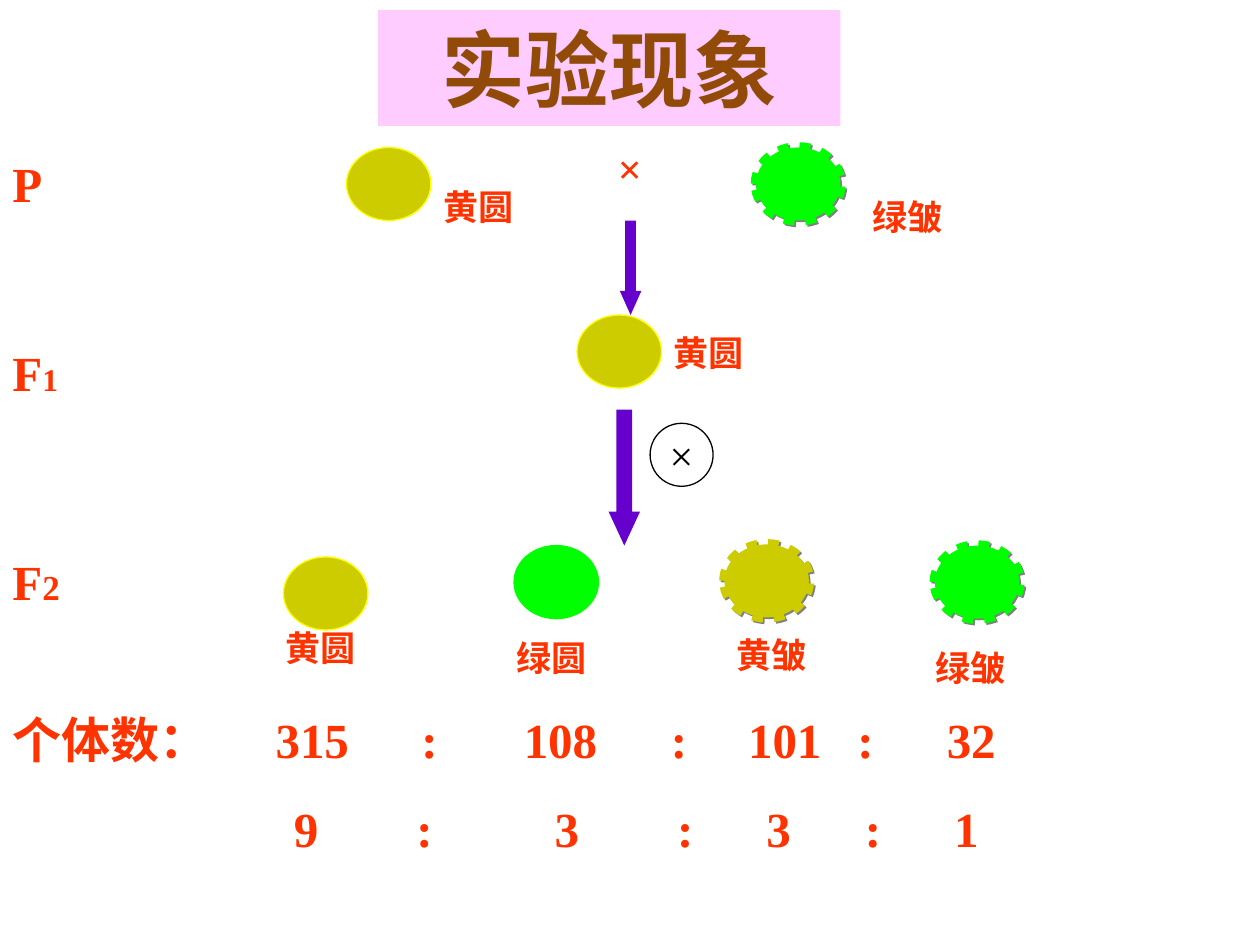
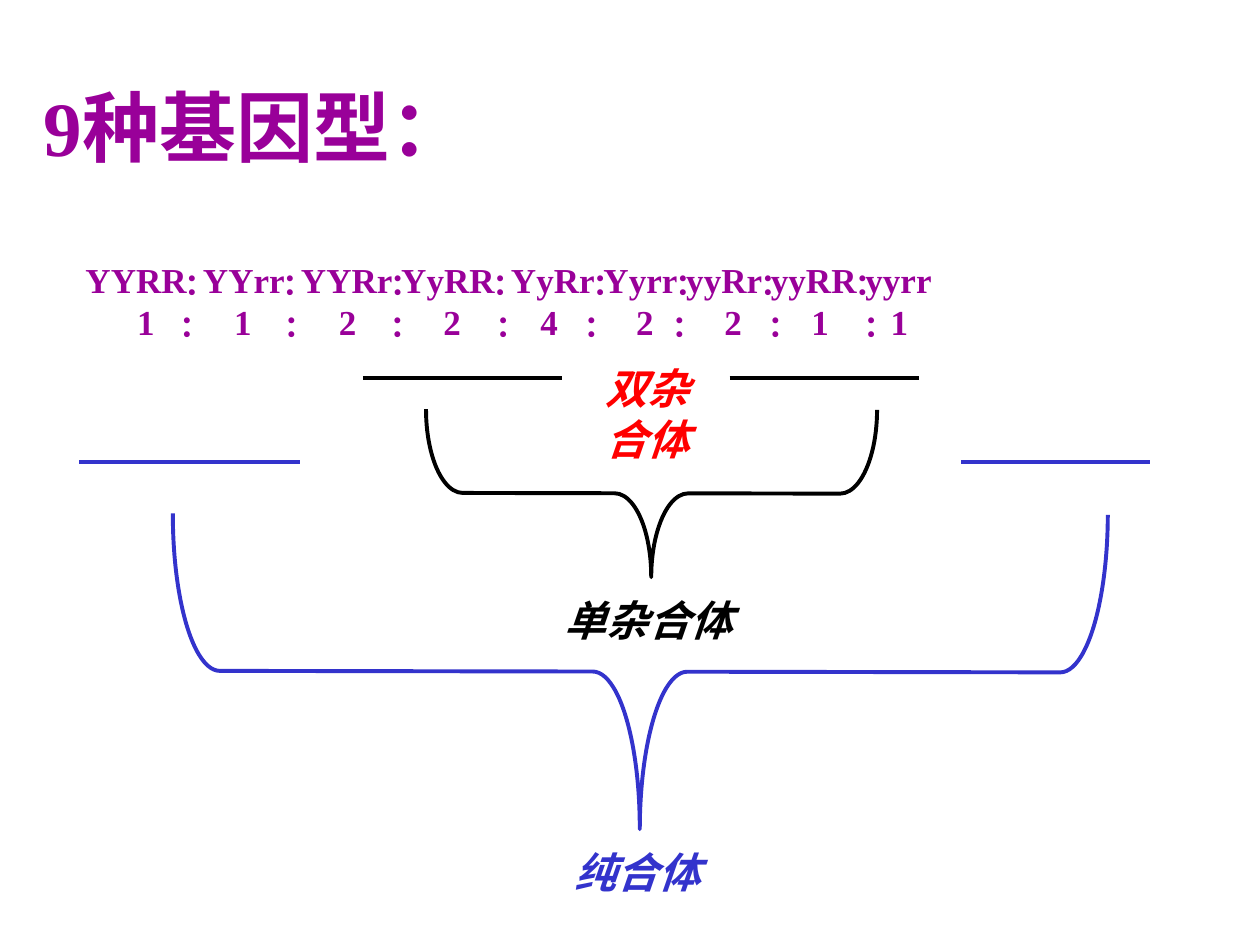
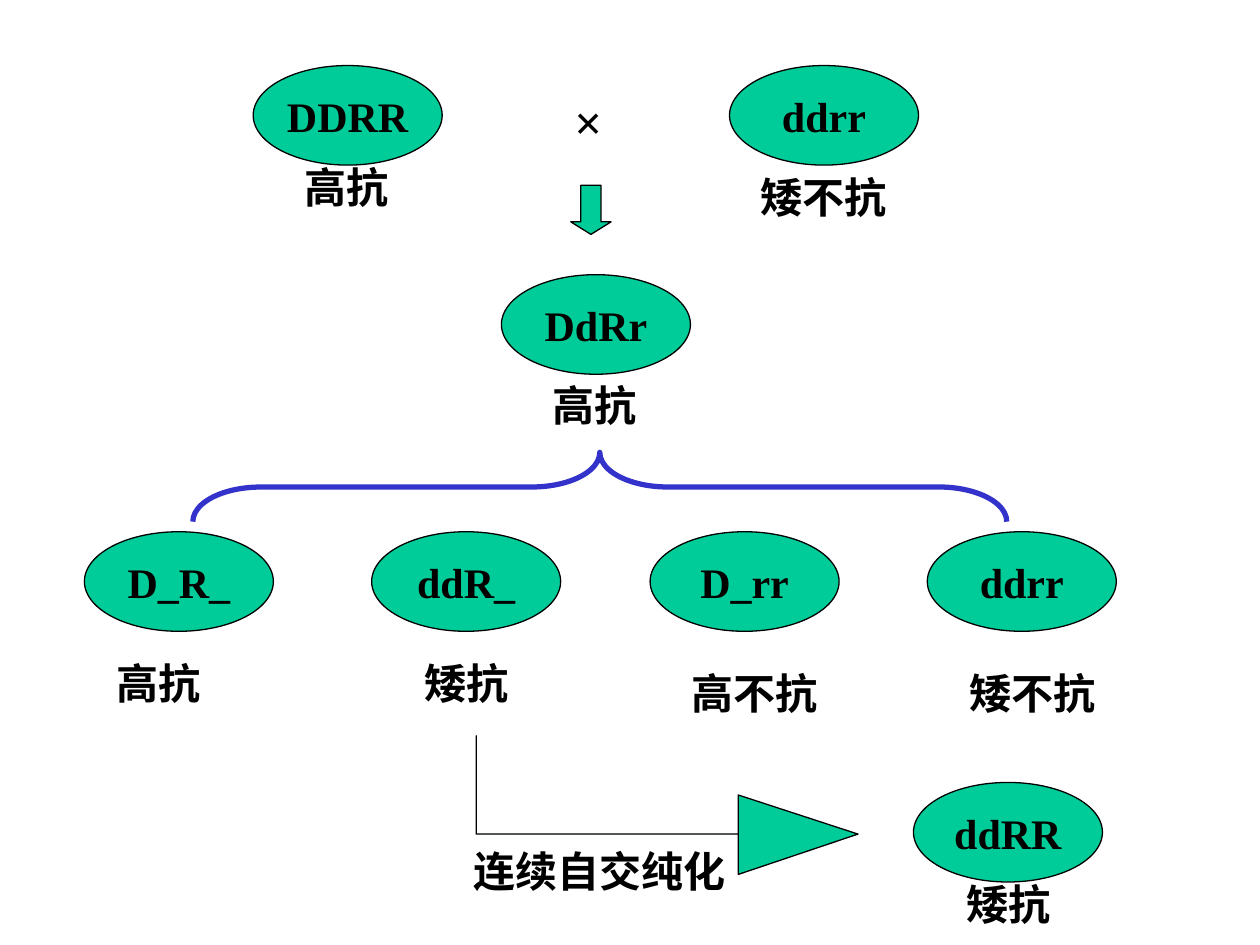
from lxml import etree
from pptx import Presentation
from pptx.dml.color import RGBColor
from pptx.enum.dml import MSO_LINE
from pptx.enum.shapes import MSO_CONNECTOR as CONN, MSO_SHAPE as SHAPE
from pptx.enum.text import MSO_ANCHOR as ANCHOR, PP_ALIGN as ALIGN
from pptx.oxml.ns import qn
from pptx.util import Inches, Pt

FONT = "Times New Roman"
BLACK = RGBColor(0x00, 0x00, 0x00)
PINK = RGBColor(0xFF, 0xCC, 0xFF)
BROWN = RGBColor(0x92, 0x4A, 0x08)
ORANGE = RGBColor(0xFF, 0x33, 0x00)
RED = RGBColor(0xFF, 0x00, 0x00)
OLIVE = RGBColor(0xCC, 0xCC, 0x00)
YELLOW = RGBColor(0xFF, 0xFF, 0x00)
GREEN = RGBColor(0x00, 0xFF, 0x00)
VIOLET = RGBColor(0x66, 0x00, 0xCC)
PURPLE = RGBColor(0x99, 0x00, 0x99)
BLUE = RGBColor(0x33, 0x33, 0xCC)
TEAL = RGBColor(0x00, 0xCC, 0x99)

SEED_W, SEED_H = 0.67, 0.58
OVAL_W, OVAL_H = 1.5, 0.79


# Shared helpers

def write(tf, text, size=24, color=BLACK, bold=True, italic=False,
          align=ALIGN.LEFT, before=0, tabs=(), small=None):
    """Write one paragraph; small is an optional (text, size) run after it."""
    p = tf.paragraphs[0]
    if p.runs:
        p = tf.add_paragraph()
    p.alignment = align
    p.space_before = Pt(before)
    if tabs:
        tab_list = etree.SubElement(p._p.get_or_add_pPr(), qn("a:tabLst"))
        for pos in tabs:
            etree.SubElement(tab_list, qn("a:tab"), pos=str(Inches(pos)), algn="ctr")
    for part, points in [(text, size)] + ([small] if small else []):
        r = p.add_run()
        r.text = part
        r.font.name, r.font.size = FONT, Pt(points)
        r.font.bold, r.font.italic = bold, italic
        r.font.color.rgb = color


def add_text(slide, text, x, y, w, h=0.5, **style):
    sp = slide.shapes.add_textbox(Inches(x), Inches(y), Inches(w), Inches(h))
    tf = sp.text_frame
    tf.word_wrap = True
    write(tf, text, **style)
    return sp


def paint(sp, fill=None, line=None, width=0.75):
    sp.shadow.inherit = False
    if fill is None:
        sp.fill.background()
    else:
        sp.fill.solid()
        sp.fill.fore_color.rgb = fill
    if line is None:
        sp.line.fill.background()
    else:
        sp.line.color.rgb = line
        sp.line.width = Pt(width)


def add_shape(slide, kind, x, y, w, h, adj=(), **look):
    sp = slide.shapes.add_shape(kind, Inches(x), Inches(y), Inches(w), Inches(h))
    for i, value in enumerate(adj):
        sp.adjustments[i] = value
    paint(sp, **look)
    return sp


def add_oval(slide, text, x, y, w, h, bold=True, **look):
    sp = add_shape(slide, SHAPE.OVAL, x, y, w, h, line=BLACK, **look)
    tf = sp.text_frame
    tf.word_wrap = False
    tf.vertical_anchor = ANCHOR.MIDDLE
    write(tf, text, bold=bold, align=ALIGN.CENTER)


def add_brace(slide, x, y, w, h, curl, rotation, color, width):
    """Brace that spans the box x, y, w, h once it is turned on its side."""
    sp = add_shape(slide, SHAPE.LEFT_BRACE, x + (w - h) / 2, y + (h - w) / 2, h, w,
                   adj=(curl, 0.5), line=color, width=width)
    sp.rotation = rotation


def add_line(slide, x1, x2, y, color):
    ln = slide.shapes.add_connector(CONN.STRAIGHT, Inches(x1), Inches(y),
                                    Inches(x2), Inches(y))
    ln.line.color.rgb = color
    ln.line.width = Pt(2.25)
    etree.SubElement(ln._element.spPr, qn("a:effectLst"))


# Slide 1: crossing experiment

def add_pea(slide, x, y, color, name, label_dx, label_dy, wrinkled=False):
    edge = YELLOW if color == OLIVE and not wrinkled else color
    sp = add_shape(slide, SHAPE.OVAL, x, y, SEED_W, SEED_H, fill=color,
                   line=edge, width=6 if wrinkled else 0.75)
    if wrinkled:
        sp.line.dash_style = MSO_LINE.ROUND_DOT
        effects = sp._element.spPr.find(qn("a:effectLst"))
        shadow = etree.SubElement(effects, qn("a:outerShdw"), dist=str(Pt(1.4)),
                                  dir="2700000", algn="ctr", rotWithShape="0")
        etree.SubElement(shadow, qn("a:srgbClr"), val="808080")
    add_text(slide, name, x + label_dx, y + label_dy, 1, 0.44, size=20, color=ORANGE)


def add_generations(slide, x, y):
    for dy, letter, small in [(0, "P", None), (1.5, "F", ("1", 18)),
                              (3.16, "F", ("2", 20))]:
        add_text(slide, letter, x, y + dy, 1.8, 0.57, size=28, color=ORANGE, small=small)


def add_crossing(slide, x, y):
    # Parents
    add_pea(slide, x, y, OLIVE, "黄圆", 0.67, 0.25)
    add_text(slide, "×", x + 1.25, y - 0.09, 2, color=ORANGE, align=ALIGN.CENTER)
    add_pea(slide, x + 3.25, y, GREEN, "绿皱", 0.83, 0.33, wrinkled=True)
    add_shape(slide, SHAPE.DOWN_ARROW, x + 2.17, y + 0.58, 0.17, 0.75,
              adj=(0.5, 1.12), fill=VIOLET)
    # First generation and selfing
    add_pea(slide, x + 1.83, y + 1.33, OLIVE, "黄圆", 0.67, 0.08)
    add_shape(slide, SHAPE.DOWN_ARROW, x + 2.08, y + 2.08, 0.25, 1.08,
              adj=(0.5, 1.08), fill=VIOLET)
    add_oval(slide, "×", x + 2.41, y + 2.19, 0.5, 0.5, bold=False)


def add_offspring(slide, x, y):
    add_pea(slide, x, y + 0.1, OLIVE, "黄圆", -0.08, 0.5)
    add_pea(slide, x + 1.83, y + 0.01, GREEN, "绿圆", -0.08, 0.67)
    add_pea(slide, x + 3.5, y, OLIVE, "黄皱", 0, 0.66, wrinkled=True)
    add_pea(slide, x + 5.17, y + 0.01, GREEN, "绿皱", -0.09, 0.75, wrinkled=True)


def add_counts(slide, x, y):
    style = dict(size=28, color=ORANGE)
    sp = add_text(slide, "个体数：\t315\t:\t108\t:\t101\t:\t32", x, y, 9.25, 1.28,
                  tabs=(2.38, 3.31, 4.35, 5.29, 6.13, 6.77, 7.61), **style)
    write(sp.text_frame, "\t9\t:\t3\t:\t3\t:\t1", before=17.5,
          tabs=(2.33, 3.27, 4.4, 5.34, 6.08, 6.83, 7.57), **style)


def build_experiment(slide):
    title = add_shape(slide, SHAPE.RECTANGLE, 3, 0.08, 3.67, 0.92, fill=PINK)
    title.text_frame.vertical_anchor = ANCHOR.MIDDLE
    write(title.text_frame, "实验现象", size=48, color=BROWN, align=ALIGN.CENTER)
    add_generations(slide, 0, 1.17)
    add_crossing(slide, 2.75, 1.17)
    add_offspring(slide, 2.25, 4.32)
    add_counts(slide, 0, 5.58)


# Slide 2: nine genotypes

def add_ratio(slide, x, y):
    style = dict(size=20, color=PURPLE)
    genotypes = "YYRR∶ YYrr∶ YYRr∶YyRR∶ YyRr∶Yyrr∶yyRr∶yyRR∶yyrr"
    sp = add_text(slide, genotypes, x, y, 8.75, 0.77, **style)
    write(sp.text_frame, "\t" + "\t∶\t".join("112242211"),
          tabs=(0.48, 0.8, 1.25, 1.63, 2.08, 2.47, 2.91, 3.31, 3.68, 4.01,
                4.44, 4.71, 5.14, 5.47, 5.83, 6.23, 6.46), **style)


def add_class(slide, name, box, curl, bars, bar_y, label, color):
    """Bars under the genotypes, a brace joining them and the class name."""
    for x1, x2 in bars:
        add_line(slide, x1, x2, bar_y, color)
    add_brace(slide, *box, curl, 270.1, color, 2.25)
    add_text(slide, name, *label, color=color, italic=True)


def build_genotypes(slide):
    add_text(slide, "9种基因型：", 0.25, 0.58, 3.88, 0.84, size=44, color=PURPLE)
    add_ratio(slide, 0.58, 2)
    add_text(slide, "双杂合体", 4.71, 2.83, 1, 0.9, color=RED, italic=True)
    add_class(slide, "单杂合体", (3.38, 3.25, 3.58, 1.33), 0.22,
              [(2.88, 4.46), (5.79, 7.29)], 3, (4.38, 4.67, 1.67), BLACK)
    add_class(slide, "纯合体", (1.37, 4.08, 7.42, 2.5), 0.15,
              [(0.63, 2.38), (7.63, 9.13)], 3.67, (4.46, 6.67, 1.25), BLUE)


# Slide 3: breeding scheme

def add_plant(slide, genotype, trait, x, y, label_dx, label_dy):
    add_oval(slide, genotype, x, y, OVAL_W, OVAL_H, fill=TEAL)
    add_text(slide, trait, x + label_dx, y + label_dy, 1.3)


def add_selfing_arrow(slide, x, y, w, h):
    head_x, mid_y = x + w - 0.95, y + 0.78
    points = [(head_x, y + h - 0.63), (head_x, mid_y), (x, mid_y), (x, y),
              (x, mid_y), (head_x, mid_y), (head_x, y + h), (x + w, mid_y)]
    pts = [(Inches(px), Inches(py)) for px, py in points]
    fb = slide.shapes.build_freeform(*pts[0])
    fb.add_line_segments(pts[1:], close=True)
    paint(fb.convert_to_shape(), fill=TEAL, line=BLACK)
    add_text(slide, "连续自交纯化", x - 0.12, y + 0.82, 2.36)


def build_breeding(slide):
    # Parents and first generation
    add_plant(slide, "DDRR", "高抗", 2.01, 0.52, 0.31, 0.71)
    add_text(slide, "×", 4.21, 0.68, 0.92, 0.57, size=28, align=ALIGN.CENTER)
    add_plant(slide, "ddrr", "矮不抗", 5.79, 0.52, 0.15, 0.79)
    add_shape(slide, SHAPE.DOWN_ARROW, 4.53, 1.47, 0.32, 0.39,
              adj=(0.5, 0.31), fill=TEAL, line=BLACK)
    add_plant(slide, "DdRr", "高抗", 3.98, 2.18, 0.31, 0.78)
    # Second generation
    add_brace(slide, 1.53, 3.59, 6.46, 0.55, 0.98, 90, BLUE, 3)
    for genotype, trait, x, dx, dy in [("D_R_", "高抗", 0.67, 0.16, 0.95),
                                       ("ddR_", "矮抗", 2.95, 0.32, 0.95),
                                       ("D_rr", "高不抗", 5.16, 0.23, 1.03),
                                       ("ddrr", "矮不抗", 7.36, 0.24, 1.03)]:
        add_plant(slide, genotype, trait, x, 4.22, dx, dy)
    # Pure line
    add_selfing_arrow(slide, 3.78, 5.84, 3.03, 1.1)
    add_plant(slide, "ddRR", "矮抗", 7.25, 6.21, 0.32, 0.71)


def main():
    prs = Presentation()
    prs.slide_width, prs.slide_height = Inches(10), Inches(7.5)
    for build in (build_experiment, build_genotypes, build_breeding):
        build(prs.slides.add_slide(prs.slide_layouts[6]))
    prs.save("out.pptx")


if __name__ == "__main__":
    main()
